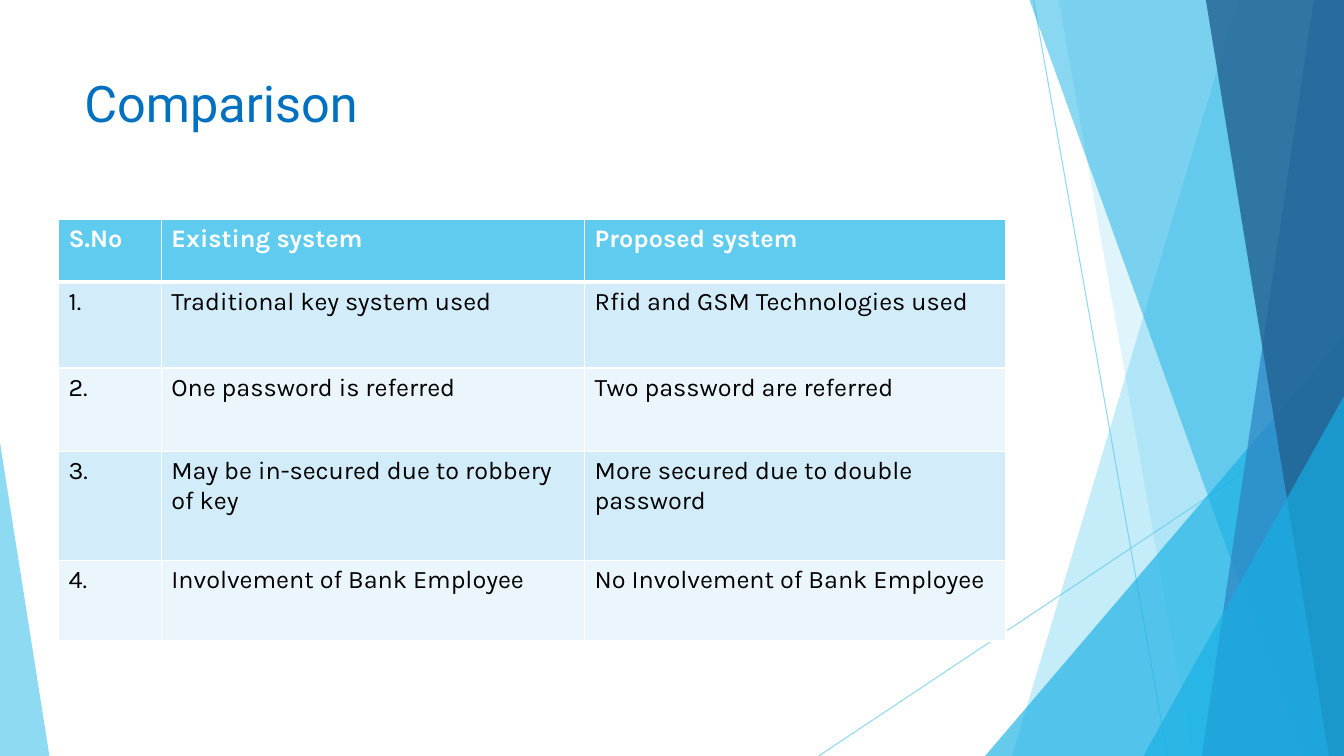
from lxml.etree import SubElement
from pptx import Presentation
from pptx.dml.color import RGBColor
from pptx.enum.shapes import MSO_CONNECTOR as Connector, MSO_SHAPE as Preset
from pptx.enum.text import MSO_ANCHOR as Anchor
from pptx.oxml.ns import qn
from pptx.util import Inches, Pt

SKY, CYAN, BLUE, NAVY = "5FCBEF", "17B0E4", "2E83C3", "226292"
WHITE, BLACK, TITLE_BLUE = "FFFFFF", "000000", "0070C0"
BANDS = ["D2ECF9", "EAF6FC"]


def paint(format_, color, alpha=100):
    format_.solid()
    format_.fore_color.rgb = RGBColor.from_string(color)
    if alpha < 100:
        element = format_._xPr.find(qn("a:solidFill"))[0]
        SubElement(element, qn("a:alpha"), val=str(alpha * 1000))


def write(text_frame, text, font_name, size, color, bold=False):
    text_frame.word_wrap = True
    run = text_frame.paragraphs[0].add_run()
    run.text = text
    run.font.name = font_name
    run.font.size = Pt(size)
    run.font.bold = bold
    paint(run.font.fill, color)


presentation = Presentation()
presentation.slide_width = Inches(13.33)
presentation.slide_height = Inches(7.5)
slide = presentation.slides.add_slide(presentation.slide_layouts[6])
shapes = slide.shapes
column = presentation.slide_width / 100
row = presentation.slide_height / 100

for start_x, start_y, end_x, end_y in [(76.9, 0, 86.87, 100), (100, 53.73, 60.92, 100)]:
    line = shapes.add_connector(
        Connector.STRAIGHT,
        int(start_x * column), int(start_y * row), int(end_x * column), int(end_y * row),
    )
    line.line.width = Pt(0.75)
    paint(line.line.fill, SKY, 70)
    SubElement(line._element.spPr, qn("a:effectLst"))

facets = [
    ("panel", 92.12, 75.3, 100, SKY, 36),
    ("panel", 78.77, 88.75, 100, SKY, 20),
    ("triangle", 73.3, 44.4, 100, CYAN, 66),
    ("panel", 76.6, 96.85, 100, CYAN, 50),
    ("panel", 97.75, 89.42, 100, BLUE, 70),
    ("panel", 89.72, 98.87, 100, NAVY, 80),
    ("triangle", 85.07, 52.4, 100, CYAN, 66),
    ("triangle", 0, 58.53, 3.68, SKY, 70),
]
for kind, first, second, right, color, alpha in facets:
    if kind == "panel":
        builder = shapes.build_freeform(int(first * column), 0)
        corners = [(right, 0), (right, 100), (second, 100)]
        builder.add_line_segments([(int(x * column), int(y * row)) for x, y in corners])
        facet = builder.convert_to_shape()
    else:
        facet = shapes.add_shape(
            Preset.ISOSCELES_TRIANGLE,
            int(first * column), int(second * row),
            int((right - first) * column), int((100 - second) * row),
        )
        facet.adjustments[0] = 1 if right == 100 else 0
    facet.shadow.inherit = False
    facet.line.fill.background()
    paint(facet.fill, color, alpha)

title = shapes.add_textbox(
    int(5.55 * column), int(8.93 * row), int(70.5 * column), int(19.2 * row)
)
title.text_frame.vertical_anchor = Anchor.TOP
write(title.text_frame, "Comparison", "Roboto", 36, TITLE_BLUE)

comparison = [
    ("S.No", "Existing system", "Proposed system"),
    ("1.", "Traditional key system used", "Rfid and GSM Technologies used"),
    ("2.", "One password is referred", "Two password are referred"),
    ("3.", "May be in-secured due to robbery of key", "More secured due to double password"),
    ("4.", "Involvement of Bank Employee", "No Involvement of Bank Employee"),
]
column_widths = [7.65, 31.5, 31.35]
row_heights = [8.27, 11.33, 11.07, 14.4, 10.67]
table = shapes.add_table(
    len(row_heights), len(column_widths),
    int(4.35 * column), int(29.07 * row),
    int(sum(column_widths) * column), int(sum(row_heights) * row),
).table
for table_column, width in zip(table.columns, column_widths):
    table_column.width = int(width * column)
for table_row, height in zip(table.rows, row_heights):
    table_row.height = int(height * row)

for row_index, texts in enumerate(comparison):
    header = row_index == 0
    for column_index, text in enumerate(texts):
        cell = table.cell(row_index, column_index)
        write(cell.text_frame, text, "Karla", 18, WHITE if header else BLACK, header)
        properties = cell._tc.get_or_add_tcPr()
        for side in ["lnL", "lnR", "lnT", "lnB"]:
            thick = (row_index, side) in [(0, "lnB"), (1, "lnT")]
            border = SubElement(properties, qn(f"a:{side}"), w=str(Pt(3 if thick else 1)))
            SubElement(SubElement(border, qn("a:solidFill")), qn("a:srgbClr"), val=WHITE)
        paint(cell.fill, SKY if header else BANDS[(row_index - 1) % 2])

presentation.save("out.pptx")
